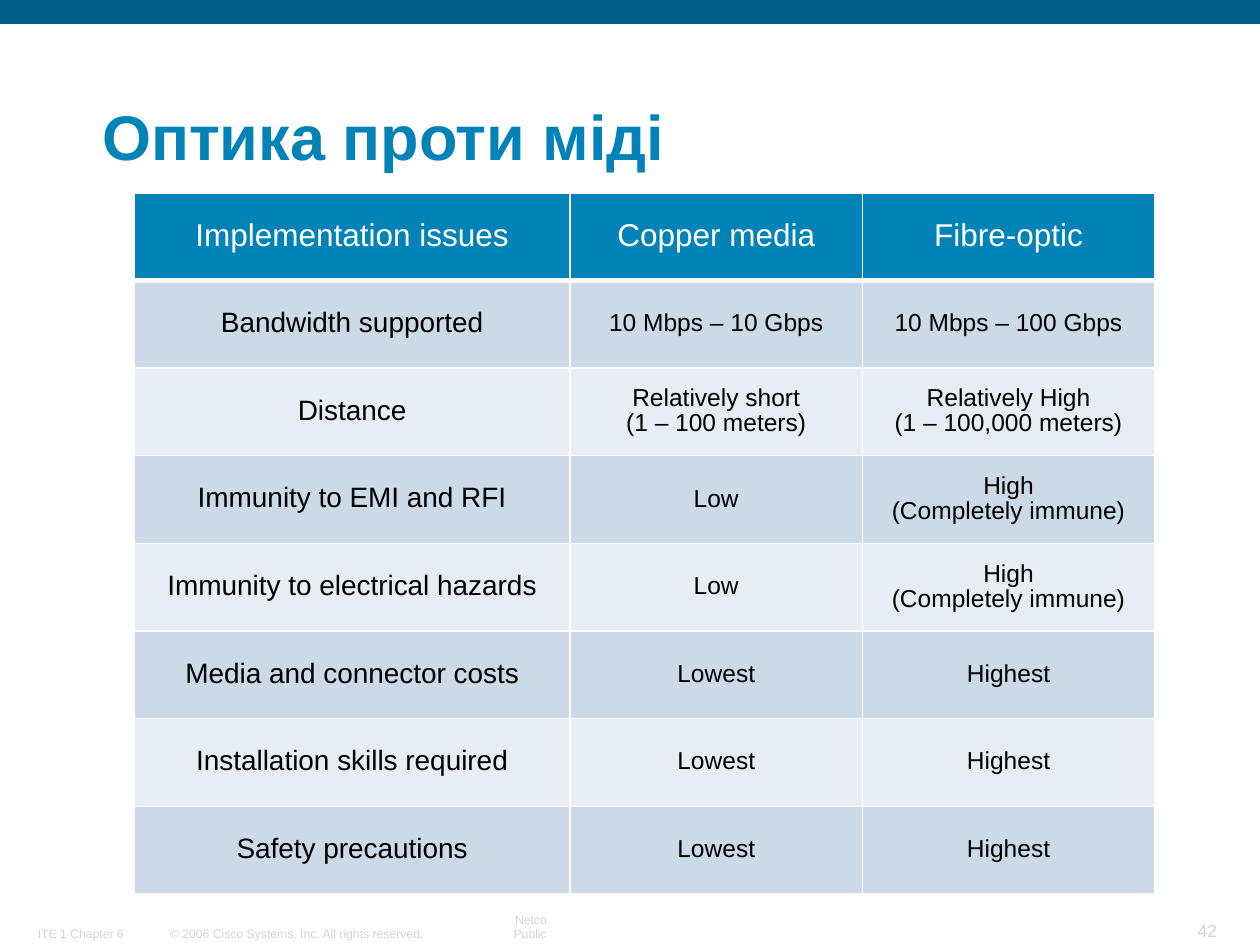
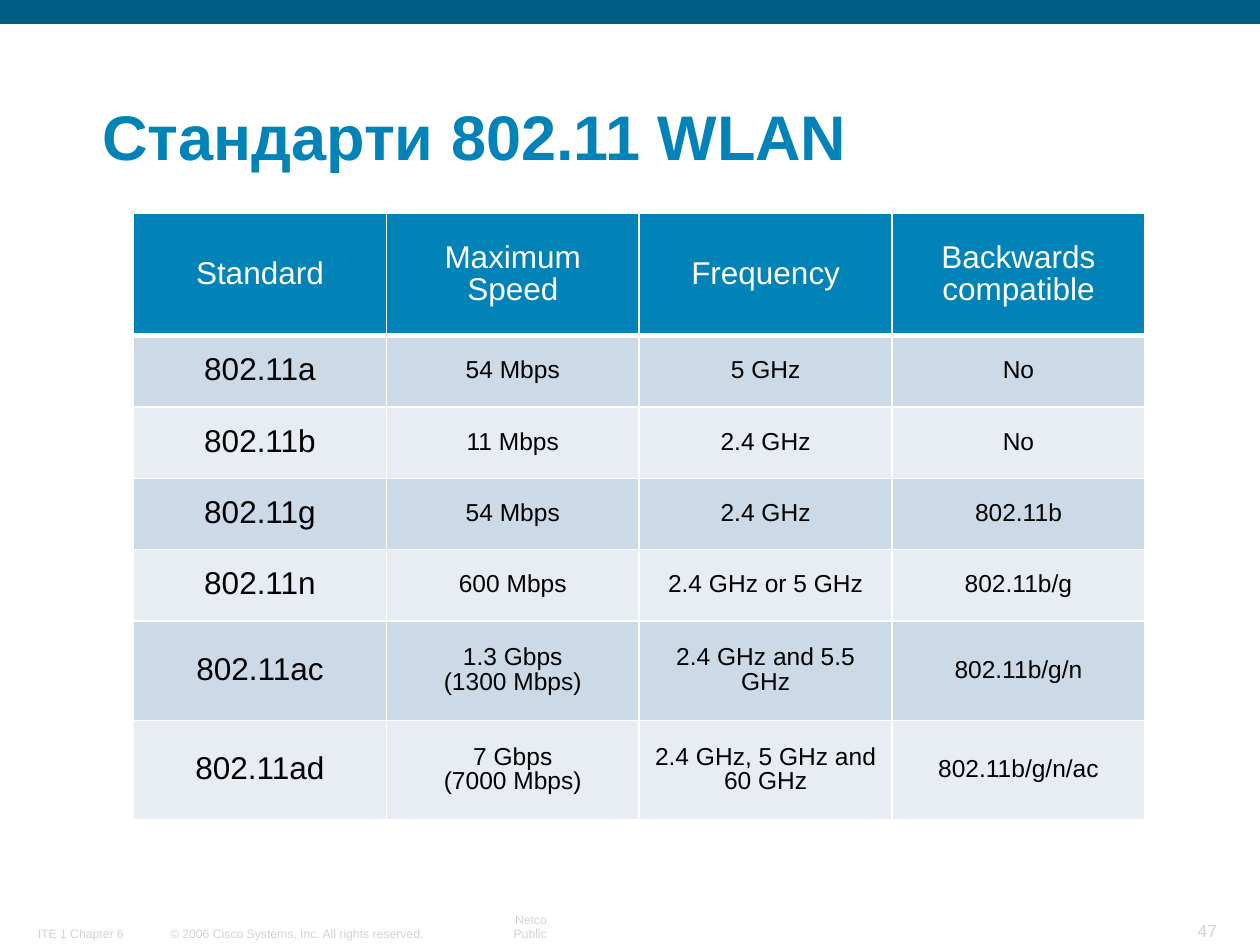
from dataclasses import dataclass

from lxml import etree
from pptx import Presentation
from pptx import util as u
from pptx.dml.color import RGBColor
from pptx.enum import shapes, text
from pptx.oxml import ns


@dataclass(frozen=True)
class Theme:
    font: str = "Arial"
    band: str = "015F85"
    accent: str = "0183B7"
    white: str = "FFFFFF"
    black: str = "000000"
    footer: str = "D3D3D3"
    stripes: tuple = ("CCD9E6", "E7EDF3")
    title_size: int = 36
    head_size: int = 18
    cell_size: int = 14
    footer_size: int = 7
    number_size: int = 10
    spacing: float = 0.9


T = Theme()
WIDTH, HEIGHT = u.Inches(10), u.Inches(7.5)
UNIT = WIDTH / 100  # the page is a grid of 100 columns by 75 rows
LEFT, CENTER, RIGHT = text.PP_ALIGN.LEFT, text.PP_ALIGN.CENTER, text.PP_ALIGN.RIGHT


def grid(*cells):
    return [u.Emu(round(c * UNIT)) for c in cells]


def add_run(p, words, size, color, bold=False):
    r = p.add_run()
    r.text = words
    r.font.name, r.font.size, r.font.bold = T.font, u.Pt(size), bold
    r.font.color.rgb = RGBColor.from_string(color)


def add_text(s, box, words, size, color, align=LEFT, bold=False, wrap=False, spacing=1.0):
    tf = s.shapes.add_textbox(*grid(*box)).text_frame
    tf.word_wrap = wrap
    tf.vertical_anchor = text.MSO_ANCHOR.BOTTOM
    tf.margin_left = tf.margin_right = u.Inches(0.09)
    tf.margin_top = tf.margin_bottom = u.Inches(0.04)
    p = tf.paragraphs[0]
    p.alignment, p.line_spacing = align, spacing
    add_run(p, words, size, color, bold)


# Frame shared by the slides: top band, title, footer
def add_frame(prs, title, number):
    s = prs.slides.add_slide(prs.slide_layouts[6])
    band = s.shapes.add_shape(shapes.MSO_SHAPE.RECTANGLE, *grid(0, 0, 100, 1.9))
    band.shadow.inherit = False
    band.fill.solid()
    band.fill.fore_color.rgb = RGBColor.from_string(T.band)
    band.line.fill.background()

    footers = [
        ((12.6, 73, 22.1, 2.1), "© 2006 Cisco Systems, Inc. All rights reserved.", LEFT, T.footer_size),
        ((37.2, 73, 7.1, 2.1), "Netco Public", RIGHT, T.footer_size),
        ((2.1, 73, 10.5, 2.1), "ITE 1 Chapter 6", LEFT, T.footer_size),
        ((94, 72.5, 3.5, 2.6), str(number), RIGHT, T.number_size),
    ]
    for box, words, align, size in footers:
        add_text(s, box, words, size, T.footer, align)
    add_text(s, (7.2, 5, 89.1, 9.2), title, T.title_size, T.accent,
             bold=True, wrap=True, spacing=T.spacing)
    return s


# Tables
def set_borders(cell, bottom):
    tc_pr = cell._tc.get_or_add_tcPr()
    for side, width in (("lnL", 1), ("lnR", 1), ("lnT", 1), ("lnB", bottom)):
        ln = etree.SubElement(tc_pr, ns.qn(f"a:{side}"), w=str(u.Pt(width)))
        fill = etree.SubElement(ln, ns.qn("a:solidFill"))
        etree.SubElement(fill, ns.qn("a:srgbClr"), val=T.white)


def fill_cell(cell, words, size, color, fill, bottom=1):
    set_borders(cell, bottom)
    cell.fill.solid()
    cell.fill.fore_color.rgb = RGBColor.from_string(fill)
    cell.vertical_anchor = text.MSO_ANCHOR.MIDDLE
    tf = cell.text_frame
    for i, line in enumerate(words.split("\n")):
        p = tf.add_paragraph() if i else tf.paragraphs[0]
        p.alignment, p.line_spacing = CENTER, T.spacing
        add_run(p, line, size, color)


def add_grid_table(s, left, top, columns, heights, rows, label_size):
    box = grid(left, top, sum(columns), sum(heights))
    table = s.shapes.add_table(len(rows), len(columns), *box).table
    for column, width in zip(table.columns, grid(*columns)):
        column.width = width
    for row, height in zip(table.rows, grid(*heights)):
        row.height = height
    for i, row in enumerate(rows):
        for j, words in enumerate(row):
            cell = table.cell(i, j)
            if i == 0:
                fill_cell(cell, words, T.head_size, T.white, T.accent, bottom=3)
            else:
                size = T.cell_size if j else label_size
                fill_cell(cell, words, size, T.black, T.stripes[(i - 1) % 2])


MEDIA = [
    ("Implementation issues", "Copper media", "Fibre-optic"),
    ("Bandwidth supported", "10 Mbps – 10 Gbps", "10 Mbps – 100 Gbps"),
    ("Distance", "Relatively short\n(1 – 100 meters)", "Relatively High\n(1 – 100,000 meters)"),
    ("Immunity to EMI and RFI", "Low", "High\n(Completely immune)"),
    ("Immunity to electrical hazards", "Low", "High\n(Completely immune)"),
    ("Media and connector costs", "Lowest", "Highest"),
    ("Installation skills required", "Lowest", "Highest"),
    ("Safety precautions", "Lowest", "Highest"),
]

STANDARDS = [
    ("Standard", "Maximum Speed", "Frequency", "Backwards compatible"),
    ("802.11a", "54 Mbps", "5 GHz", "No"),
    ("802.11b", "11 Mbps", "2.4 GHz", "No"),
    ("802.11g", "54 Mbps", "2.4 GHz", "802.11b"),
    ("802.11n", "600 Mbps", "2.4 GHz or 5 GHz", "802.11b/g"),
    ("802.11ac", "1.3 Gbps\n(1300 Mbps)", "2.4 GHz and 5.5 GHz", "802.11b/g/n"),
    ("802.11ad", "7 Gbps\n(7000 Mbps)", "2.4 GHz, 5 GHz and 60 GHz", "802.11b/g/n/ac"),
]


def main():
    prs = Presentation()
    prs.slide_width, prs.slide_height = WIDTH, HEIGHT

    # Fibre against copper
    s = add_frame(prs, "Оптика проти міді", 42)
    add_grid_table(s, 10.65, 15.3, [34.6, 23.2, 23.2], [6.96] * len(MEDIA), MEDIA, label_size=16)

    # Wireless standards
    s = add_frame(prs, "Стандарти 802.11 WLAN", 47)
    heights = [9.7] + [5.66] * 4 + [7.9] * 2
    add_grid_table(s, 10.6, 16.95, [20.07] * 4, heights, STANDARDS, label_size=18)

    prs.save("out.pptx")


if __name__ == "__main__":
    main()
